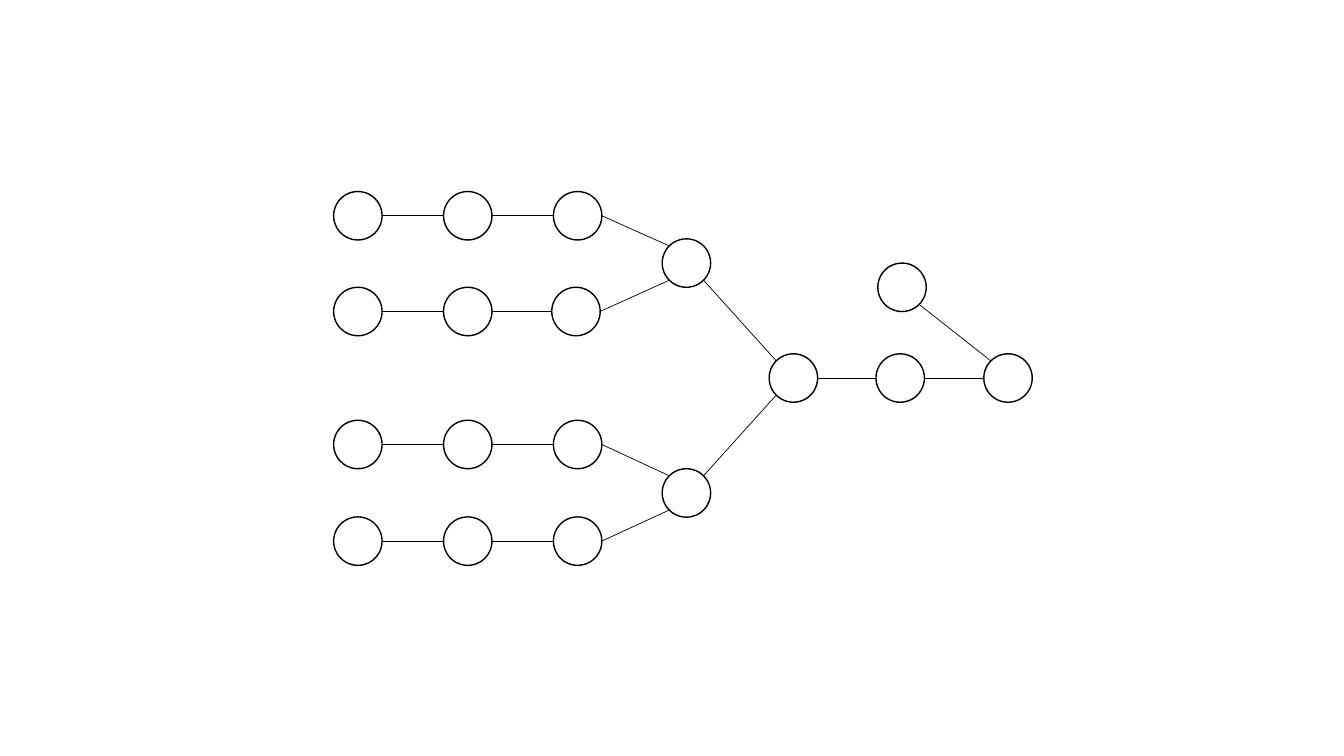
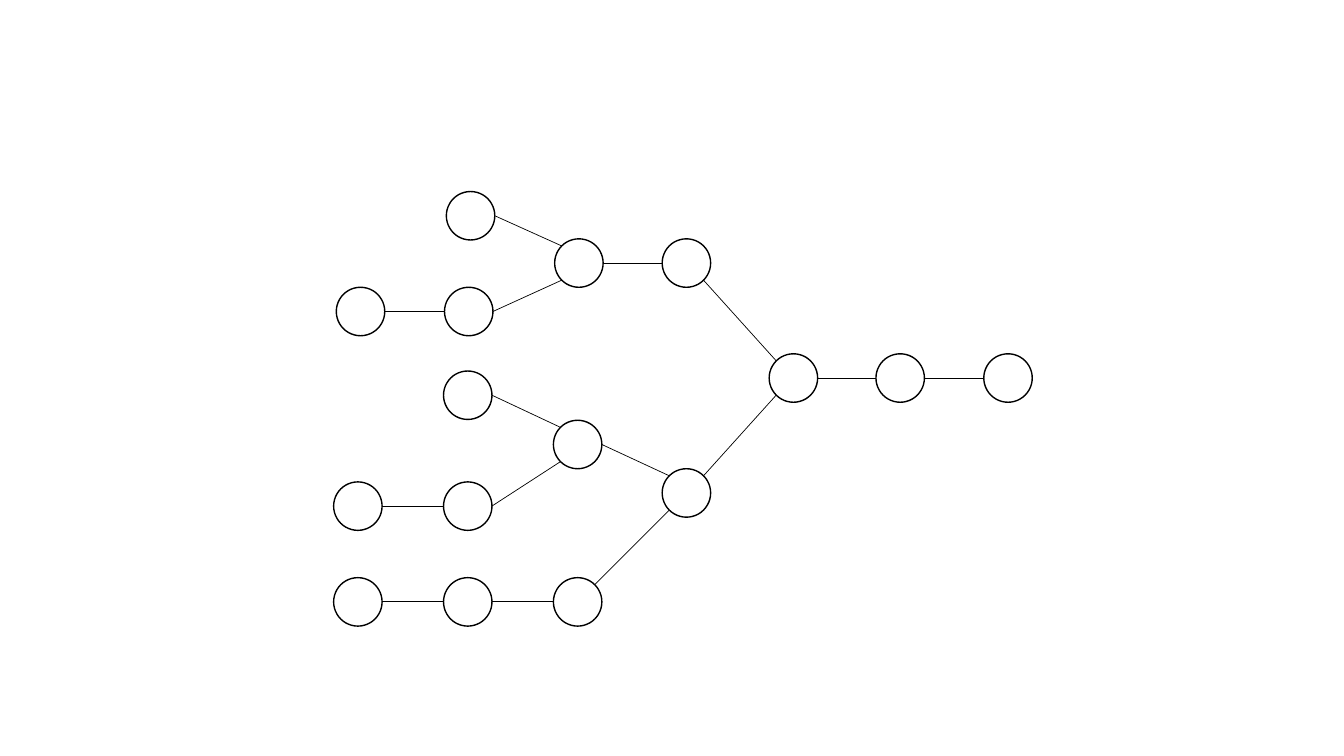
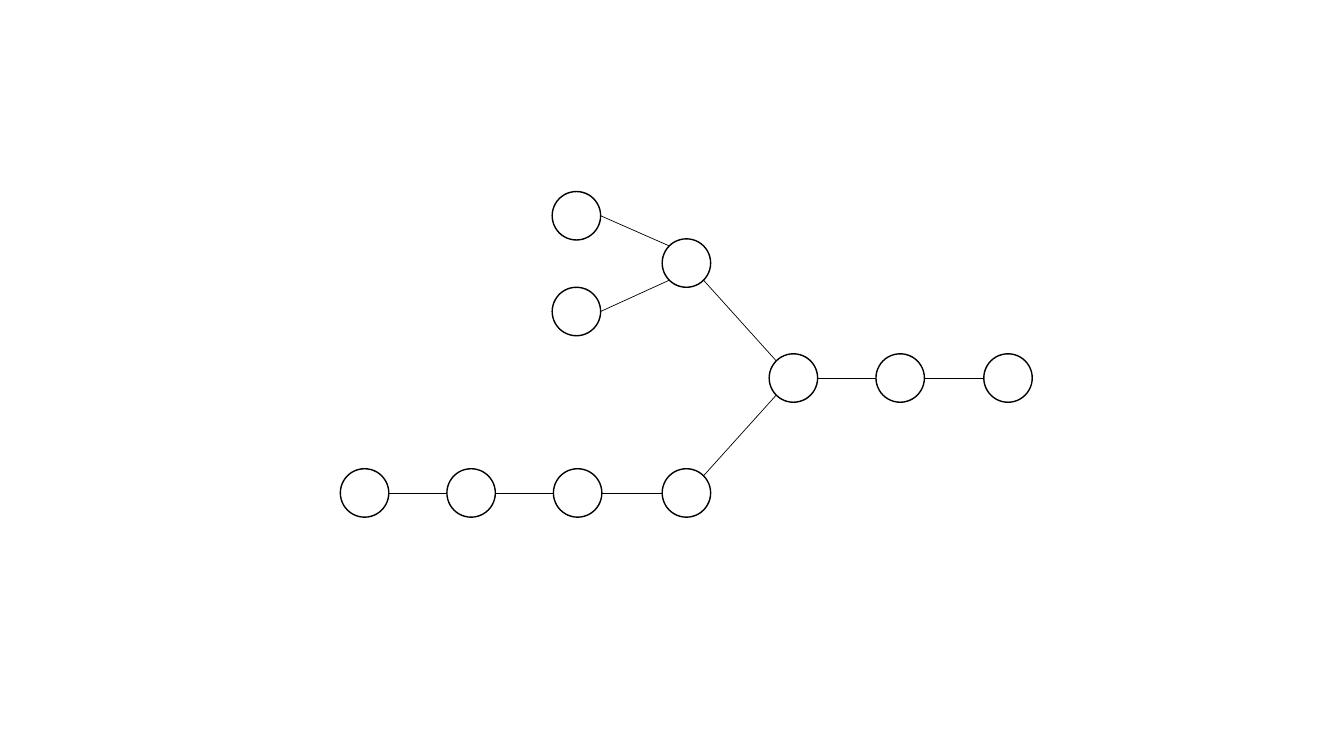
from dataclasses import dataclass
from itertools import pairwise
from math import sqrt

from lxml.etree import SubElement
from pptx import Presentation
from pptx.dml.color import RGBColor
from pptx.enum.shapes import MSO_CONNECTOR, MSO_SHAPE
from pptx.oxml.ns import qn
from pptx.util import Pt


@dataclass
class Theme:
    ink: RGBColor = RGBColor(0, 0, 0)
    ring: float = 1
    edge: float = 0.5
    size: float = 34.6
    steep: float = 0.7


theme = Theme()
deck = Presentation()
deck.slide_width, deck.slide_height = Pt(960), Pt(540)
blank = deck.slide_layouts[6]


def draw_node(slide, node):
    left, top = node
    ring = slide.shapes.add_shape(
        MSO_SHAPE.OVAL, Pt(left), Pt(top), Pt(theme.size), Pt(theme.size))
    ring.shadow.inherit = False
    ring.fill.background()
    ring.line.color.rgb = theme.ink
    ring.line.width = Pt(theme.ring)


def draw_edge(slide, start, end):
    half = theme.size / 2
    diag = half / sqrt(2)
    x1, y1, x2, y2 = (value + half for value in (*start, *end))
    run, rise = x2 - x1, y2 - y1
    turn = (rise > 0) - (rise < 0)
    if abs(rise) > theme.steep * run:
        x1, y1 = x1 + diag, y1 + turn * diag
    else:
        x1 += half
    if turn:
        x2, y2 = x2 - diag, y2 - turn * diag
    else:
        x2 -= half
    line = slide.shapes.add_connector(
        MSO_CONNECTOR.STRAIGHT, Pt(x1), Pt(y1), Pt(x2), Pt(y2))
    line.line.color.rgb = theme.ink
    line.line.width = Pt(theme.edge)
    SubElement(line._element.spPr, qn("a:effectLst"))


col = [238.3, 316.8, 395.3, 473, 549.4, 625.7, 702.7]
high, low = (col[3], 170.6), (col[3], 334.8)
hub, mid, last = [(x, 252.7) for x in col[4:]]
trunk = [[high, hub, mid, last], [low, hub]]
row1, row2 = 136.8, 205.2

even = [
    [(col[0], row1), (col[1], row1), (col[2], row1), high],
    [(col[0], row2), (col[1], row2), (394.1, row2), high],
    *[[(x, y) for x in col[:3]] + [low] for y in (300.2, 369.2)],
    [(627, 187.9), last],
]

join, fork = (396.2, high[1]), (col[2], 300.2)
mixed = [
    [(318.8, row1), join, high],
    [(240.2, row2), (317.5, row2), join],
    [(col[1], 265), fork, low],
    [(col[0], 344.2), (col[1], 344.2), fork],
    [(x, 412.6) for x in col[:3]] + [low],
]

plain = [
    [(394.4, row1), high],
    [(394.4, row2), high],
    [(x, low[1]) for x in (243.1, 319.2, col[2])] + [low],
]

for limbs in (even, mixed, plain):
    slide = deck.slides.add_slide(blank)
    chains = trunk + limbs
    for node in dict.fromkeys(node for chain in chains for node in chain):
        draw_node(slide, node)
    for chain in chains:
        for start, end in pairwise(chain):
            draw_edge(slide, start, end)

deck.save("out.pptx")
